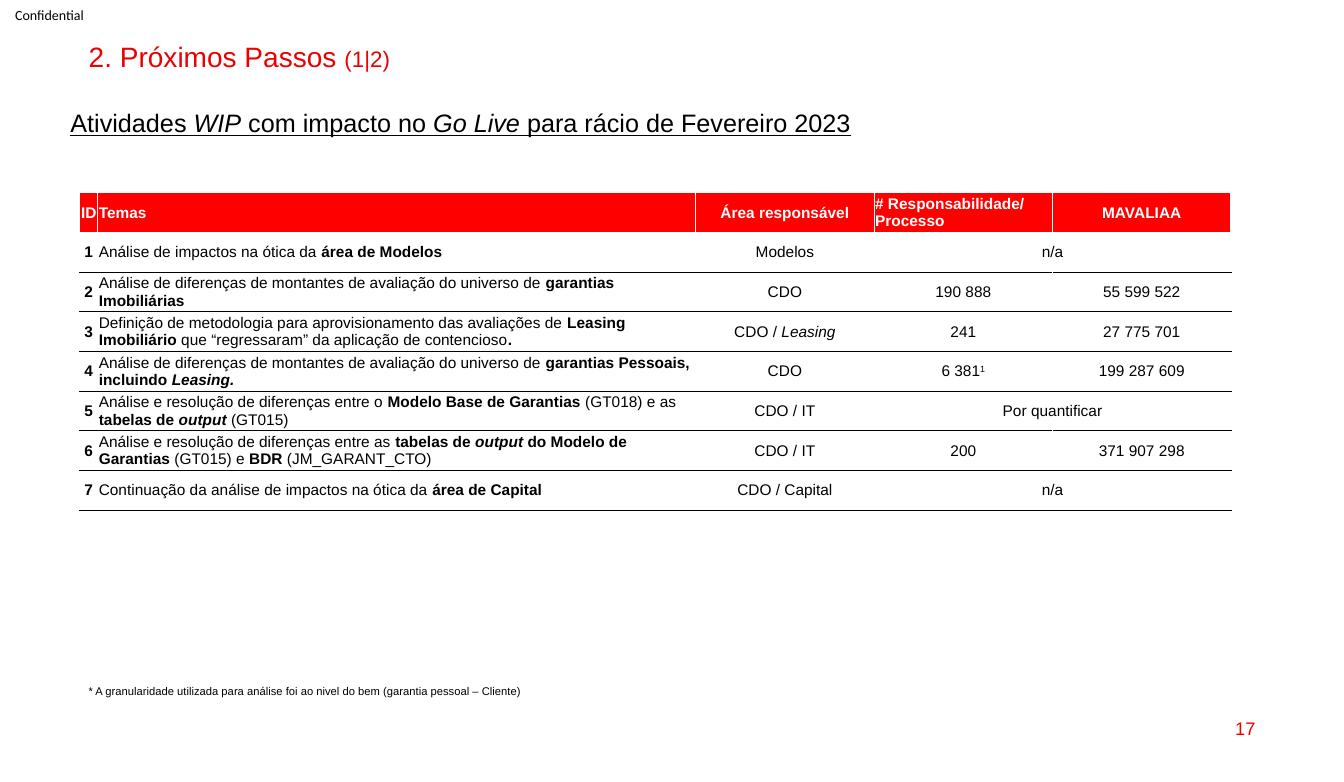
from dataclasses import dataclass

from lxml import etree
from pptx import Presentation
from pptx.dml.color import RGBColor
from pptx.enum import text
from pptx.oxml import ns
from pptx.util import Inches, Pt


@dataclass(frozen=True)
class Theme:
    font: str = "Arial"
    label_font: str = "Calibri"
    red: str = "EB0000"
    header: str = "FF0000"
    black: str = "000000"
    white: str = "FFFFFF"
    title: int = 20
    counter: int = 16
    subtitle: int = 18
    number: int = 13
    table: int = 11
    label: int = 10
    note: int = 8


T = Theme()
LEFT, CENTER, RIGHT = text.PP_ALIGN.LEFT, text.PP_ALIGN.CENTER, text.PP_ALIGN.RIGHT
MIDDLE = text.MSO_ANCHOR.MIDDLE


def write(tf, runs, size, color=T.black, font=T.font, align=LEFT):
    """Fill the first paragraph; each run is (text, flags): b, i, u or ^ for superscript."""
    p = tf.paragraphs[0]
    p.alignment = align
    for words, flags in runs:
        r = p.add_run()
        r.text = words
        r.font.name, r.font.size = font, Pt(size)
        r.font.color.rgb = RGBColor.from_string(color)
        r.font.bold, r.font.italic, r.font.underline = (f in flags for f in "biu")
        if "^" in flags:
            r._r.get_or_add_rPr().set("baseline", "30000")
    return p


def set_borders(cell, **sides):
    tcPr = cell._tc.get_or_add_tcPr()
    for side in "LRTB":
        color, width = sides[side]
        ln = etree.SubElement(tcPr, ns.qn(f"a:ln{side}"), w=str(Pt(width)))
        fill = etree.SubElement(ln, ns.qn("a:solidFill"))
        etree.SubElement(fill, ns.qn("a:srgbClr"), val=color)


prs = Presentation()
prs.slide_width, prs.slide_height = Inches(13.33), Inches(7.76)
s = prs.slides.add_slide(prs.slide_layouts[5])

# Title
title = s.shapes.title
title.left, title.top = Inches(0.78), Inches(0.38)
title.width, title.height = Inches(11.77), Inches(0.34)
tf = title.text_frame
tf.auto_size = text.MSO_AUTO_SIZE.NONE
tf.vertical_anchor = text.MSO_ANCHOR.TOP
p = write(tf, [("2. Próximos Passos ", "")], T.title, T.red)
write(tf, [("(1|2)", "")], T.counter, T.red)
p.line_spacing = 0.9

# Confidentiality label
label = s.shapes.add_textbox(0, 0, Inches(0.99), Inches(0.29))
tf = label.text_frame
tf.margin_top = tf.margin_right = tf.margin_bottom = 0
tf.margin_left = Inches(0.15)
tf.vertical_anchor = MIDDLE
write(tf, [("Confidential", "")], T.label, font=T.label_font)

# Subtitle
subtitle = s.shapes.add_textbox(Inches(0.6), Inches(0.87), Inches(11.77), Inches(0.5))
tf = subtitle.text_frame
tf.word_wrap = True
p = write(tf, [("Atividades ", "u"), ("WIP", "ui"), (" com impacto no ", "u"),
               ("Go Live", "ui"), (" para rácio de Fevereiro 2023", "u")], T.subtitle)
p.line_spacing = 1.5

# Activities table: topic, area, and either two figures or one merged remark
headers = ["ID", "Temas", "Área responsável", "# Responsabilidade/ Processo", "MAVALIAA"]
header_aligns = [CENTER, LEFT, CENTER, LEFT, CENTER]
body_aligns = [CENTER, LEFT, CENTER, CENTER, CENTER]
differences = ("Análise de diferenças de montantes de avaliação do universo de ", "")
activities = [
    ([("Análise de impactos na ótica da ", ""), ("área de Modelos", "b")],
     [("Modelos", "")], [("n/a", "")]),
    ([differences, ("garantias Imobiliárias", "b")],
     [("CDO", "")], [("190 888", "")], [("55 599 522", "")]),
    ([("Definição de metodologia para aprovisionamento das avaliações de ", ""),
      ("Leasing Imobiliário ", "b"),
      ("que “regressaram” da aplicação de contencioso", ""), (".", "b")],
     [("CDO / ", ""), ("Leasing", "i")], [("241", "")], [("27 775 701", "")]),
    ([differences, ("garantias Pessoais, incluindo ", "b"), ("Leasing.", "bi")],
     [("CDO", "")], [("6 381", ""), ("1", "^")], [("199 287 609", "")]),
    ([("Análise e resolução de diferenças entre o ", ""), ("Modelo Base de Garantias ", "b"),
      ("(GT018) e as ", ""), ("tabelas de ", "b"), ("output ", "bi"), ("(GT015)", "")],
     [("CDO / IT", "")], [("Por quantificar", "")]),
    ([("Análise e resolução de diferenças entre as ", ""), ("tabelas de ", "b"),
      ("output ", "bi"), ("do Modelo de Garantias ", "b"), ("(GT015) e ", ""),
      ("BDR", "b"), (" (JM_GARANT_CTO)", "")],
     [("CDO / IT", "")], [("200", "")], [("371 907 298", "")]),
    ([("Continuação da análise de impactos na ótica da ", ""), ("área de Capital", "b")],
     [("CDO / Capital", "")], [("n/a", "")]),
]
rows = [[[(h, "b")] for h in headers]]
rows += [[[(str(n), "b")], *activity] for n, activity in enumerate(activities, 1)]

table = s.shapes.add_table(len(rows), len(headers), Inches(0.79), Inches(1.91),
                           Inches(11.42), Inches(3.15)).table
table.first_row = table.horz_banding = False
for column, width in zip(table.columns, [0.18, 5.93, 1.77, 1.77, 1.77]):
    column.width = Inches(width)

white_line, black_line = (T.white, 1), (T.black, 0.5)
for i, row in enumerate(rows):
    is_header = i == 0
    for j in range(len(headers)):
        cell = table.cell(i, j)
        cell.margin_left = cell.margin_right = cell.margin_top = Inches(0.01)
        cell.margin_bottom = 0
        cell.vertical_anchor = MIDDLE
        set_borders(cell, L=white_line, R=white_line,
                    T=white_line if i < 2 else black_line,
                    B=white_line if is_header else black_line)
        if is_header:
            cell.fill.solid()
            cell.fill.fore_color.rgb = RGBColor.from_string(T.header)
        else:
            cell.fill.background()
        if j < len(row):
            write(cell.text_frame, row[j], T.table, T.white if is_header else T.black,
                  align=(header_aligns if is_header else body_aligns)[j])
    if len(row) < len(headers):
        table.cell(i, 3).merge(table.cell(i, 4))

# Footnote
note = s.shapes.add_textbox(Inches(0.78), Inches(6.74), Inches(4.56), Inches(0.24))
tf = note.text_frame
tf.word_wrap = False
tf.vertical_anchor = MIDDLE
write(tf, [("* A granularidade utilizada para análise foi ao nivel do bem "
            "(garantia pessoal – Cliente)", "")], T.note)

# Slide number
number = s.shapes.add_textbox(Inches(9.55), Inches(7.02), Inches(3), Inches(0.41))
tf = number.text_frame
tf.word_wrap = True
tf.vertical_anchor = MIDDLE
write(tf, [("17", "")], T.number, T.red, align=RIGHT)

prs.save("out.pptx")
